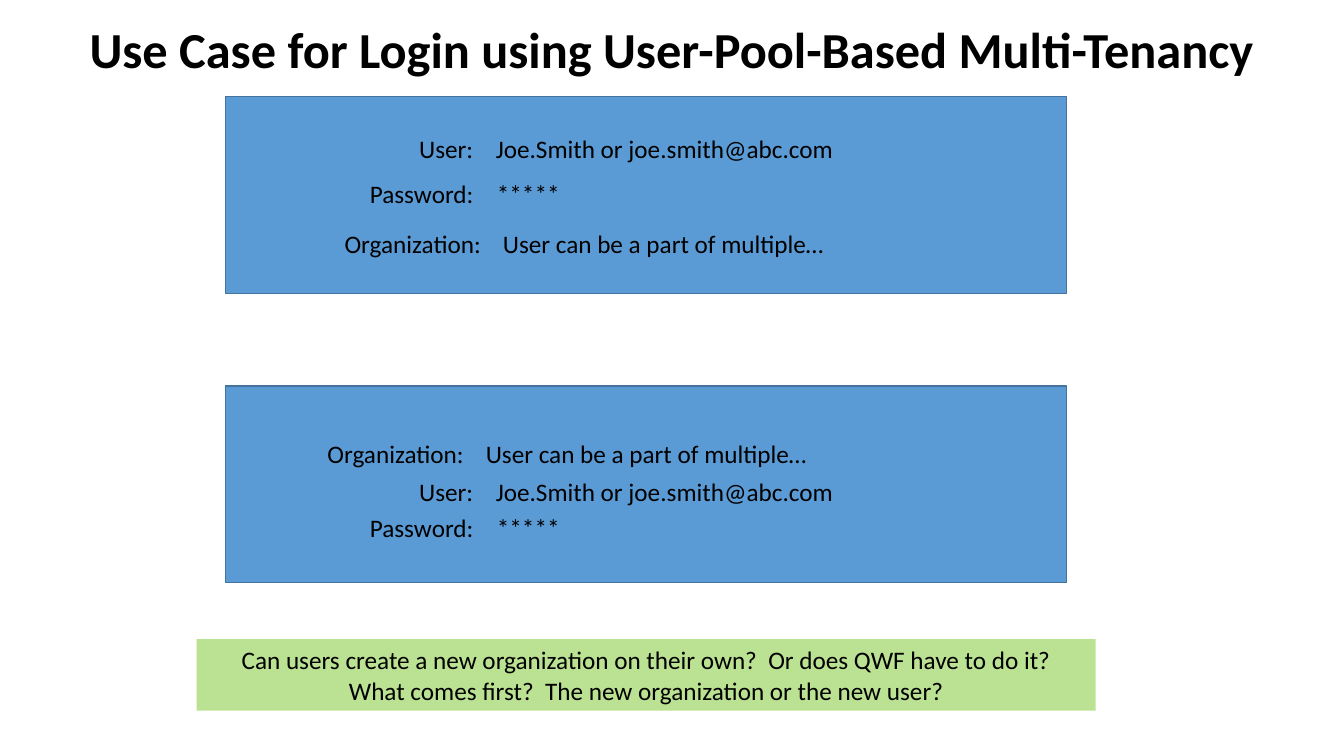
from pptx import Presentation
from pptx import util as u
from pptx.dml.color import RGBColor
from pptx.enum import shapes, text
from pptx.oxml.ns import qn
from lxml import etree

FIELDS = {
    "User:": ("Joe.Smith or joe.smith@abc.com", 32.63, 0.76),
    "Password:": ("*****", 15.75, 1.26),
    "Organization:": ("User can be a part of multiple…", 37.8, 1.57),
}
FORMS = [
    (12.8, [("User:", 30.45, 16.93), ("Password:", 26.78, 22.93),
            ("Organization:", 24.9, 29.6)]),
    (51.07, [("User:", 30.45, 62.4), ("Password:", 26.78, 67.07),
             ("Organization:", 23.63, 57.33)]),
]
QUESTIONS = [
    "Can users create a new organization on their own?  Or does QWF have to do it?",
    "What comes first?  The new organization or the new user?",
]


def rgb(value):
    return RGBColor.from_string(value)


class Slide:
    """Draws styled elements on one slide, placed in percent of its size."""

    font, ink, panel, edge, note = "Calibri", "000000", "5B9BD5", "43739E", "92D050"

    def __init__(self, prs):
        self.width, self.height = prs.slide_width, prs.slide_height
        self.s = prs.slides.add_slide(prs.slide_layouts[5])

    def box(self, x, y, w, h):
        return (round(self.width * x / 100), round(self.height * y / 100),
                round(self.width * w / 100), round(self.height * h / 100))

    def run(self, p, words, size=18, bold=False):
        r = p.add_run()
        r.text = words
        r.font.name, r.font.size, r.font.bold = self.font, u.Pt(size), bold
        r.font.color.rgb = rgb(self.ink)

    def frame(self, sp, anchor=text.MSO_ANCHOR.TOP):
        tf = sp.text_frame
        tf.word_wrap = True
        tf.auto_size = text.MSO_AUTO_SIZE.NONE
        tf.vertical_anchor = anchor
        return tf

    def title(self, words, *place):
        sp = self.s.shapes.title
        sp.left, sp.top, sp.width, sp.height = self.box(*place)
        p = self.frame(sp).paragraphs[0]
        p.alignment = text.PP_ALIGN.CENTER
        self.run(p, words, 36, True)

    def rect(self, fill, *place):
        sp = self.s.shapes.add_shape(shapes.MSO_SHAPE.RECTANGLE, *self.box(*place))
        sp.shadow.inherit = False
        sp.fill.solid()
        sp.fill.fore_color.rgb = rgb(fill)
        sp.line.fill.background()
        return sp

    def form(self, y):
        sp = self.rect(self.panel, 16.8, y, 62.55, 26)
        sp.line.color.rgb = rgb(self.edge)
        sp.line.width = u.Pt(1)

    def field(self, label, x, y):
        value, width, stop = FIELDS[label]
        sp = self.s.shapes.add_textbox(*self.box(x, y, width, 5.33))
        p = self.frame(sp).paragraphs[0]
        tabs = etree.SubElement(p._p.get_or_add_pPr(), qn("a:tabLst"))
        etree.SubElement(tabs, qn("a:tab"), pos=str(u.Inches(stop)), algn="l")
        self.run(p, label)
        self.run(p, "\t" + value)

    def questions(self, lines, *place):
        sp = self.rect(self.note, *place)
        color = sp.fill._xPr.find(qn("a:solidFill"))[0]
        etree.SubElement(color, qn("a:alpha"), val="62000")
        tf = self.frame(sp, text.MSO_ANCHOR.MIDDLE)
        for i, words in enumerate(lines):
            p = tf.add_paragraph() if i else tf.paragraphs[0]
            p.alignment = text.PP_ALIGN.CENTER
            self.run(p, words)


def main():
    prs = Presentation()
    prs.slide_width, prs.slide_height = u.Inches(13.33), u.Inches(7.5)
    slide = Slide(prs)
    slide.title("Use Case for Login using User-Pool-Based Multi-Tenancy",
                3.98, 1.73, 92.03, 9.47)
    for y, fields in FORMS:
        slide.form(y)
        for field in fields:
            slide.field(*field)
    slide.questions(QUESTIONS, 14.63, 84.53, 66.9, 9.47)
    prs.save("out.pptx")


if __name__ == "__main__":
    main()
